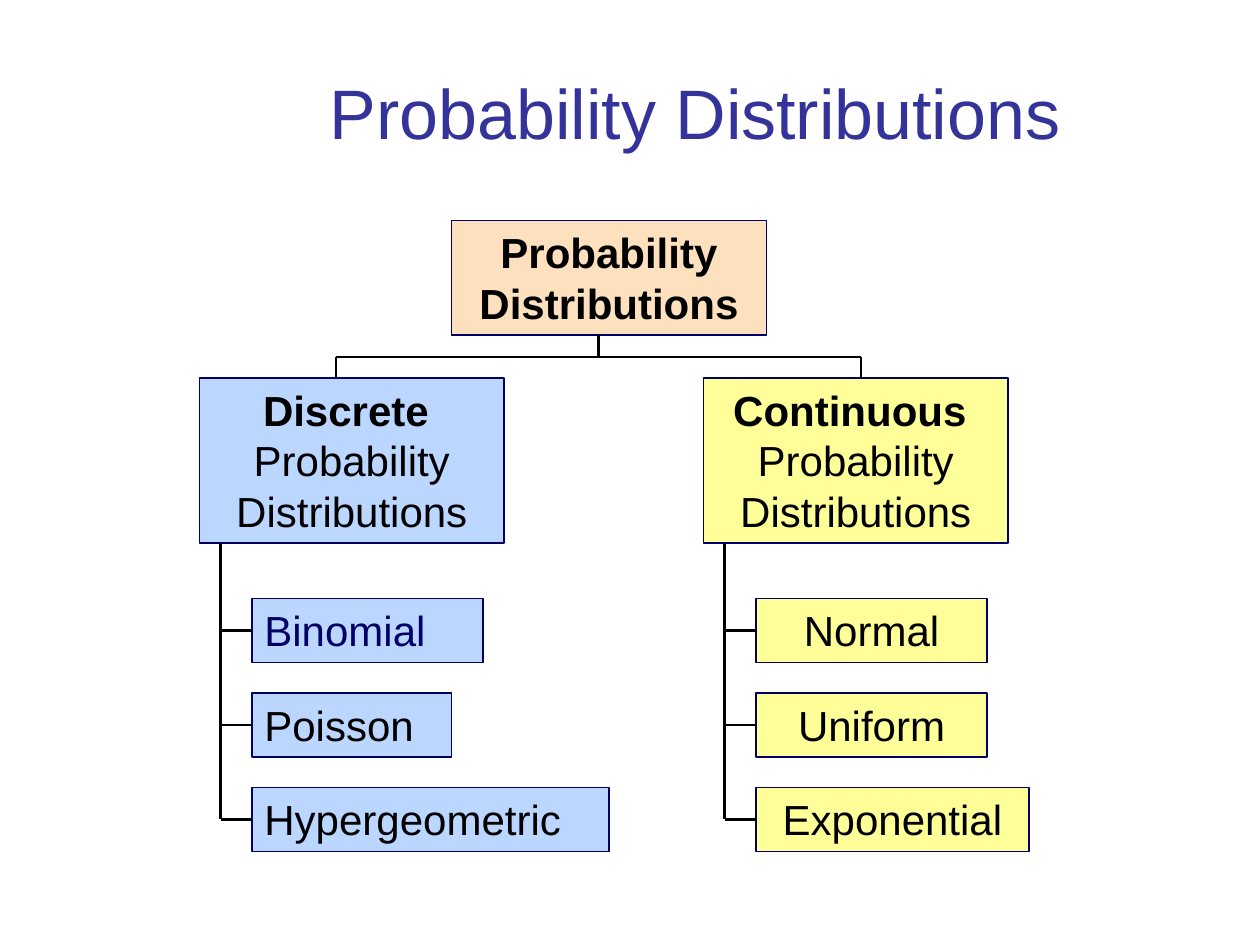
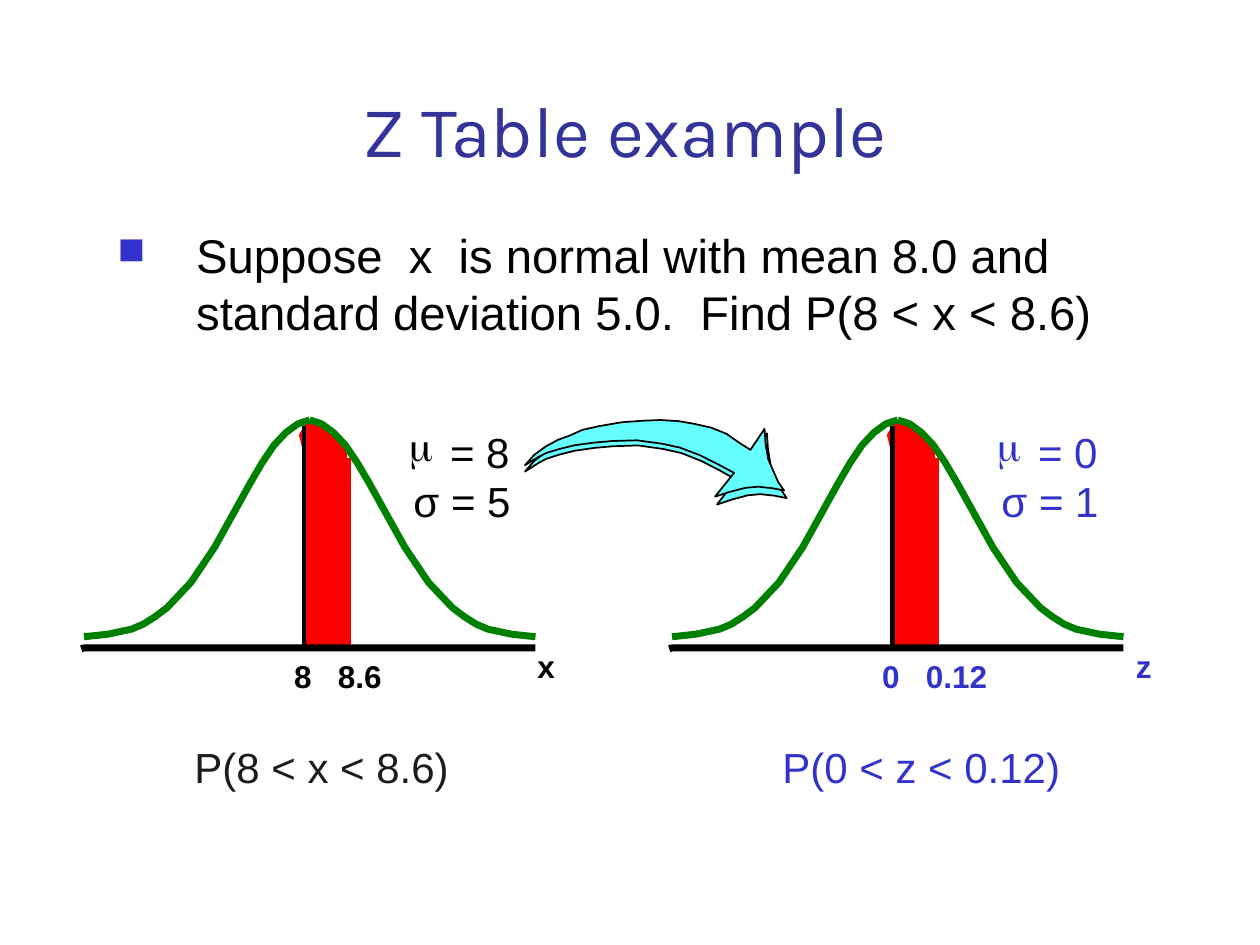
from collections import namedtuple

from lxml import etree
from pptx import Presentation
from pptx import util as u
from pptx.dml import color as clr
from pptx.enum import shapes, text
from pptx.oxml import ns

# Grid: 120 columns by 90 rows, each cell a twelfth of an inch
CELL = u.Inches(10) // 120
Box = namedtuple("Box", "x y w h")

HUES = {
    "title": "333399", "ink": "000000", "soft": "1C1C1C", "navy": "000066",
    "blue": "3333CC", "sky": "BBD7FF", "lemon": "FFFF99", "peach": "FDE0BD",
    "red": "FF0000", "green": "008000", "aqua": "66FFFF",
}
MID, LEFT = text.PP_ALIGN.CENTER, text.PP_ALIGN.LEFT

# Left half of the bell: steps of 1/38 of the width, heights in percent
STEPS = [0, 2, 3, 4, 5, 6, 7, 9, 11, 13, 14, 15, 16, 17, 18, 19]
DROPS = [94.7, 93.6, 92.5, 91.4, 89.2, 85.9, 82, 71,
         55.6, 36.9, 27.5, 18.7, 11, 5.5, 1.7, 0]
BELL = [(step / 38 * 100, drop) for step, drop in zip(STEPS, DROPS)]

# Outlines in percent of their box
AREA = [(48.6, 95.2), (49.1, 55.6), (48.8, 14.3), (47.8, 6.6), (49.4, 1.1),
        (52.5, 2.2), (54.7, 5), (57.5, 11.6), (58.1, 14.9), (57.8, 45.7),
        (57.5, 61.6), (58.1, 58.9), (57.2, 86.4), (55.8, 94.7)]
BASE = [(49.1, 99.6), (58.3, 100), (58.3, 94.7), (57.8, 88.6), (55.8, 86.4),
        (51.9, 90.8), (48.8, 93), (48.6, 99.1)]
AXIS = [(-0.6, 100), (0, 99.6), (100, 99.6)]
ARROW = [(0, 59), (3.4, 46), (8, 34.5), (12.6, 26), (17.4, 20), (22, 13),
         (28.5, 8), (37, 3), (45, 1), (52, 0), (59, 1.5), (65, 5),
         (71.5, 10), (77.4, 18), (82, 29), (86.6, 39), (92, 11.5),
         (92.4, 31), (93.4, 51), (95.3, 66), (97.2, 80.6), (99.5, 92),
         (95, 89), (89.5, 87), (84.7, 88.5), (78.4, 94), (73, 100),
         (80.3, 69), (74, 57.5), (67.2, 46), (59.5, 36), (52.7, 31),
         (43, 26.5), (33.4, 27.5), (26.6, 29.5), (19, 33), (13, 38),
         (8.2, 43), (5.3, 48)]


def hue(name):
    return clr.RGBColor.from_string(HUES[name])


def emu(*cells):
    return [u.Emu(round(c * CELL)) for c in cells]


def write(frame, words, size=24, color="ink", font="Arial", bold=False,
          align=LEFT, pad=0, hang=0, mark=None, tint="ink", scale=100,
          lead=None, before=None):
    """Add one paragraph to a text frame."""
    para = frame.paragraphs[0]
    if para.runs:
        para = frame.add_paragraph()
    run = para.add_run()
    run.text = words
    run.font.size, run.font.name, run.font.bold = u.Pt(size), font, bold
    run.font.color.rgb = hue(color)
    para.alignment = align
    if lead:
        para.line_spacing = lead
    if before:
        para.space_before = u.Pt(before)
    props = para._p.get_or_add_pPr()
    if pad:
        props.set("marL", str(round(pad * CELL)))
        props.set("indent", str(round(hang * CELL)))
    if mark:
        tone = etree.SubElement(props, ns.qn("a:buClr"))
        etree.SubElement(tone, ns.qn("a:srgbClr"), val=HUES[tint])
        etree.SubElement(props, ns.qn("a:buSzPct"), val=str(scale * 1000))
        etree.SubElement(props, ns.qn("a:buChar"), char=mark)


def label(slide, box, words=None, anchor=text.MSO_ANCHOR.TOP, **form):
    """Place a text box and return its frame."""
    frame = slide.shapes.add_textbox(*emu(*box)).text_frame
    frame.word_wrap, frame.vertical_anchor = True, anchor
    if words:
        write(frame, words, **form)
    return frame


def title(slide, box, words, **form):
    label(slide, box, words, color="title", align=MID, **form)


def paint(shape, fill, line, width):
    shape.shadow.inherit = False
    if fill:
        shape.fill.solid()
        shape.fill.fore_color.rgb = hue(fill)
    else:
        shape.fill.background()
    shape.line.color.rgb = hue(line)
    shape.line.width = u.Pt(width)


def card(slide, box, fill):
    """Place a bordered rectangle with top-set text."""
    shape = slide.shapes.add_shape(shapes.MSO_SHAPE.RECTANGLE, *emu(*box))
    paint(shape, fill, "navy", 1)
    shape.text_frame.word_wrap = True
    shape.text_frame.vertical_anchor = text.MSO_ANCHOR.TOP
    return shape


def rule(slide, x1, y1, x2, y2, color="ink", width=1.5):
    wire = slide.shapes.add_connector(
        shapes.MSO_CONNECTOR.STRAIGHT, *emu(x1, y1, x2, y2))
    wire.line.color.rgb = hue(color)
    wire.line.width = u.Pt(width)
    etree.SubElement(wire._element.spPr, ns.qn("a:effectLst"))
    return wire


def spot(box, x, y):
    """Turn percents of a box into grid cells."""
    return box.x + box.w * x / 100, box.y + box.h * y / 100


def trace(slide, box, points, line, width, fill=None):
    """Draw a freeform; it is closed when it has a fill."""
    dots = [emu(*spot(box, *point)) for point in points]
    pen = slide.shapes.build_freeform(*dots[0])
    pen.add_line_segments(dots[1:], close=bool(fill))
    paint(pen.convert_to_shape(), fill, line, width)


def branch(slide, box, head, fill, leaves, align):
    """Place a family heading with its leaves hung from a trunk."""
    trunk, step, tall = box.x + 2, 9, 6.1
    first = box.y + 21
    last = first + step * (len(leaves) - 1) + tall / 2
    rule(slide, trunk, box.y + box.h, trunk, last)
    frame = card(slide, box, fill).text_frame
    write(frame, head + " ", bold=True, align=MID)
    write(frame, "Probability Distributions", align=MID)
    for row, (name, wide, color) in enumerate(leaves):
        top = first + row * step
        leaf = card(slide, Box(box.x + 5, top, wide, tall), fill)
        write(leaf.text_frame, name, color=color, align=align)
        stub = rule(slide, trunk, top + tall / 2, box.x + 5, top + tall / 2)
        stub.end_connect(leaf, 1)


def tree(slide, box):
    """Place the root, the fork and both families."""
    root = card(slide, Box(box.x + 24, box.y, 30, 10.9), "peach")
    write(root.text_frame, "Probability Distributions", bold=True, align=MID)
    left, right, fork = box.x + 13, box.x + 63, box.y + 13
    rule(slide, box.x + 38, box.y + 10.9, box.x + 38, fork)
    rule(slide, left, fork, right, fork)
    for x in (left, right):
        rule(slide, x, fork, x, fork + 2)
    families = [
        ("Discrete", "sky", LEFT, [("Binomial", 22, "navy"),
                                   ("Poisson", 19, "ink"),
                                   ("Hypergeometric", 34, "ink")]),
        ("Continuous", "lemon", MID, [("Normal", 22, "ink"),
                                      ("Uniform", 22, "ink"),
                                      ("Exponential", 26, "ink")]),
    ]
    for col, (head, fill, align, leaves) in enumerate(families):
        place = Box(box.x + 48 * col, fork + 2, 29, 15.7)
        branch(slide, place, head, fill, leaves, align)


def bell(slide, box, name, shift, ticks, mean, sigma, odds, color, tone):
    """Place a normal curve with its shaded band and labels."""
    # Shaded band
    for points in (BASE, AREA):
        trace(slide, box, points, "red", 1, "red")
    for x, top, tint, width in ((58.1, 16.5, "red", 5),
                                (48.8, 2.8, "ink", 2.5)):
        rule(slide, *spot(box, x, top), *spot(box, x, 99.1), tint, width)
    # Curve halves and axis
    for half in (BELL, [(100 - x, y) for x, y in BELL]):
        trace(slide, box, half, "green", 4)
    trace(slide, box, AXIS, "ink", 4)
    # Axis labels
    small = dict(size=18, bold=True, color=color)
    label(slide, Box(box.x + shift, box.y + 21, 5, 4.8), name, **small)
    for x, wide, tick, pad in ((18, 5, ticks[0], 0.83), (23, 8.2, ticks[1], 0)):
        label(slide, Box(box.x + x, box.y + 22, wide, 4.8), tick,
              pad=pad, **small)
    # Probability and parameters
    label(slide, Box(box.x + 6, box.y + 30, 34, 6), odds, color=tone, pad=3.33)
    frame = label(slide, Box(box.x + 28, box.y, 16, 10.8))
    write(frame, f" = {mean}", color=color, align=MID, mark="μ", tint=color)
    write(frame, f"σ = {sigma}", color=color, align=MID, lead=0.5, before=12)


def swoop(slide, box):
    """Place the curved arrow with its rim behind it."""
    rim = Box(box.x, box.y + 0.4, box.w * 1.01, box.h * 1.05)
    for part in (rim, box):
        trace(slide, part, ARROW, "ink", 1, "aqua")


def chart_tree(slide):
    title(slide, Box(20, 6, 92.4, 9.1), "Probability Distributions", size=40)
    tree(slide, Box(19, 21, 80, 60))


def z_page(slide):
    title(slide, Box(15, 2, 89, 15), "Z Table example", size=41,
          font="Karla", anchor=text.MSO_ANCHOR.BOTTOM)
    label(slide, Box(10, 21, 106, 13),
          "Suppose  x  is normal with mean 8.0 and standard deviation 5.0.  "
          "Find P(8 < x < 8.6)",
          size=27, pad=7.5, hang=-7.5, mark="■", tint="blue", scale=80)
    bell(slide, Box(8, 40, 43, 21.8), "x", 42, ("8", "8.6"), 8, 5,
         "P(8 < x < 8.6)", "ink", "soft")
    bell(slide, Box(64, 40, 43, 21.8), "z", 43, ("0", "0.12"), 0, 1,
         "P(0 < z < 0.12)", "blue", "blue")
    swoop(slide, Box(50, 40, 24.8, 7.3))


def main():
    deck = Presentation()
    deck.slide_width, deck.slide_height = emu(120, 90)
    for build in (chart_tree, z_page):
        build(deck.slides.add_slide(deck.slide_layouts[6]))
    deck.save("out.pptx")


if __name__ == "__main__":
    main()
